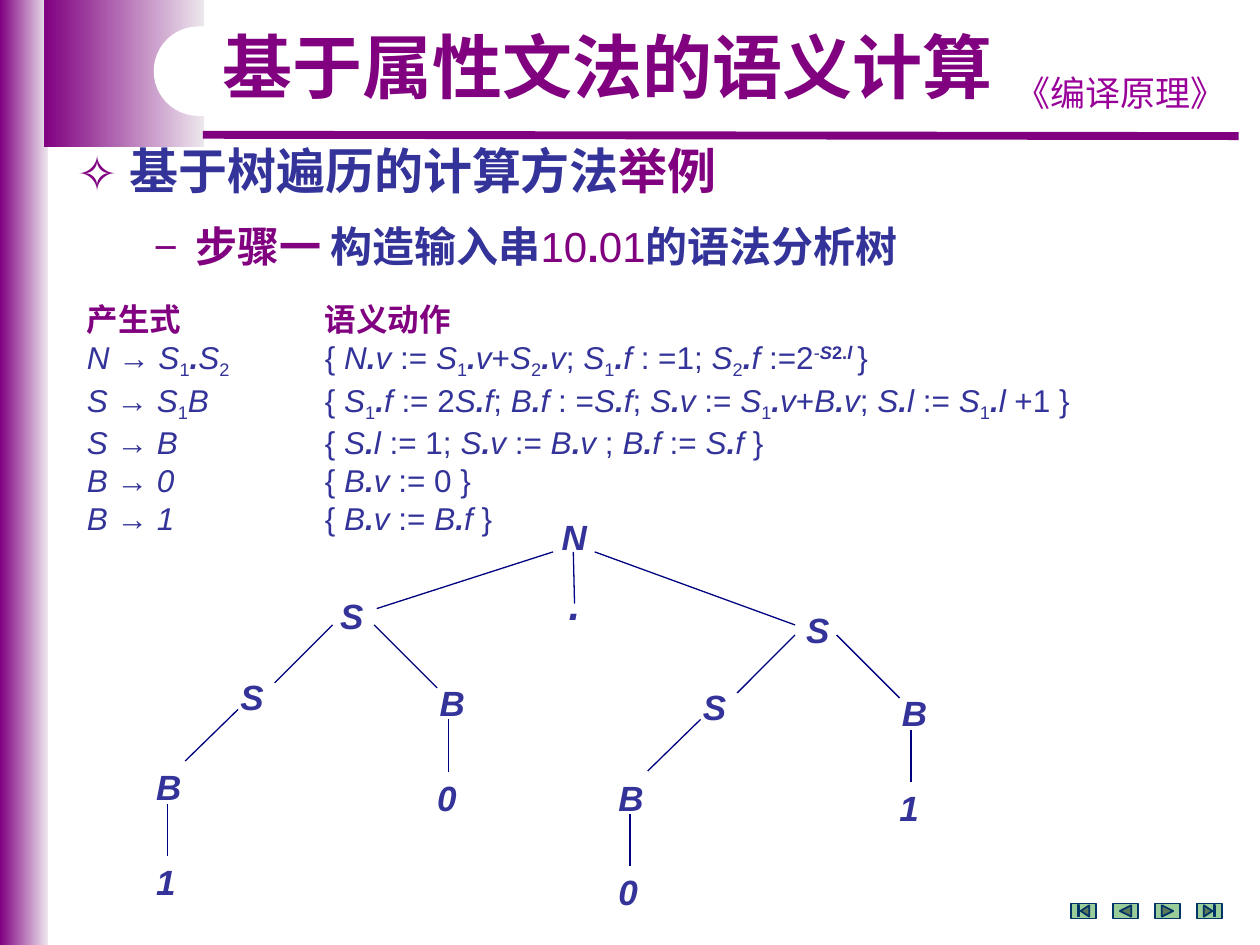
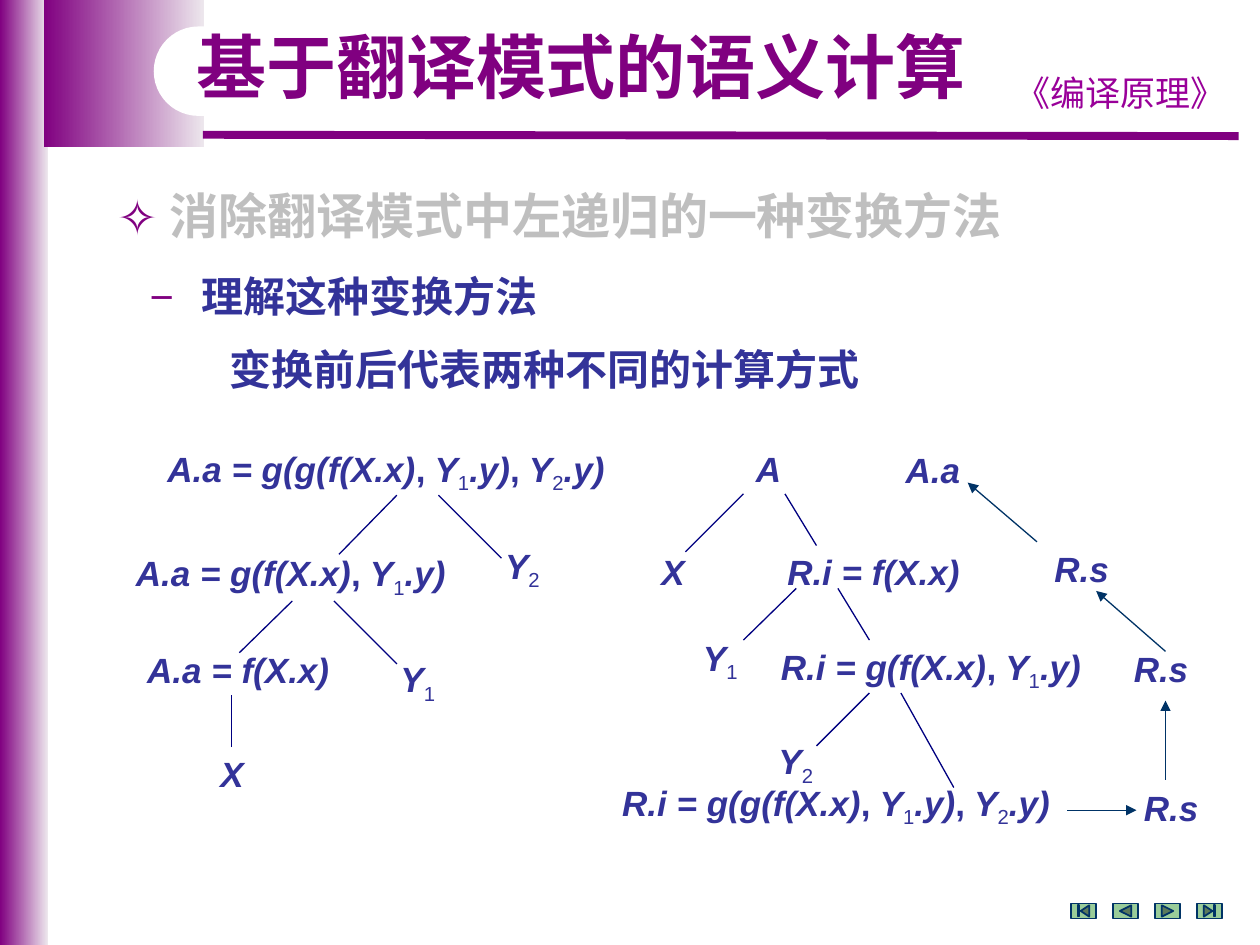
from itertools import groupby

from lxml import etree
from pptx import Presentation
from pptx import util as u
from pptx.dml import color as col
from pptx.enum import lang, shapes, text
from pptx.oxml import ns

Inches = u.Inches
PLUM, NAVY, GRAY, WHITE = "800080", "333399", "BFBFBF", "FFFFFF"
EDGE, TEAL = "000080", "003366"
LATIN, ROMAN, HAN = "Arial", "Times New Roman", "Noto Sans CJK SC"
KIND = shapes.MSO_SHAPE


def rgb(code):
    return col.RGBColor.from_string(code)


def sub(node, tag, **attrs):
    return etree.SubElement(node, ns.qn(tag), **attrs)


# ---- Text ----
def add_run(para, words, size, color=NAVY, font=LATIN, bold=True, ital=False, base=0):
    run = para.add_run()
    run.text = words
    face = run.font
    face.name, face.size, face.bold, face.italic = font, u.Pt(size), bold, ital
    face.color.rgb = rgb(color)
    face.language_id = lang.MSO_LANGUAGE_ID.SIMPLIFIED_CHINESE
    if base:
        run._r.get_or_add_rPr().set("baseline", str(base * 1000))


def add_box(slide, x, y, w, h):
    frame = slide.shapes.add_textbox(*map(Inches, (x, y, w, h))).text_frame
    frame.word_wrap = True
    return frame


def set_hang(para, left, hang=0, mark=None):
    props = para._p.get_or_add_pPr()
    props.set("marL", str(Inches(left)))
    props.set("indent", str(-Inches(hang)))
    if mark:
        sub(sub(props, "a:buClr"), "a:srgbClr", val=PLUM)
        sub(props, "a:buFont", typeface=HAN)
        sub(props, "a:buChar", char=mark)


def split_marks(code, style):
    """Yield (char, style); _ lowers one character, ^ turns raising on and off."""
    low = high = False
    for char in code:
        if char == "_":
            low = True
        elif char == "^":
            high = not high
        else:
            if low:
                yield char, (False, False, -25)
            elif high:
                yield char, (char != "-", char.isalpha(), 30)
            else:
                yield char, (*style(char), 0)
            low = False


def add_code(para, code, size, style):
    for (bold, ital, base), part in groupby(split_marks(code, style), lambda m: m[1]):
        add_run(para, "".join(char for char, _ in part), size,
                bold=bold, ital=ital, base=base)


def node_style(char):
    return True, char != ","


def rule_style(char):
    return char == ".", char.isalpha() or char == "."


def prod_style(char):
    return char == ".", char != "→"


def add_node(slide, code, x, y, w=0.42):
    add_code(add_box(slide, x, y, w, 0.43).paragraphs[0], code, 20, node_style)


def add_list(slide, head, lines, style, x, w):
    frame = add_box(slide, x, 2.33, w, 1.92)
    add_run(frame.paragraphs[0], head, 18, PLUM)
    for line in lines:
        add_code(frame.add_paragraph(), line, 18, style)


# ---- Shapes and lines ----
def add_line(slide, x1, y1, x2, y2, color=EDGE, width=0.75, arrow=False):
    line = slide.shapes.add_connector(
        shapes.MSO_CONNECTOR.STRAIGHT, *map(Inches, (x1, y1, x2, y2)))
    line.line.color.rgb = rgb(color)
    line.line.width = u.Pt(width)
    if arrow:
        sub(line.line._get_or_add_ln(), "a:tailEnd", type="triangle")
    sub(line._element.spPr, "a:effectLst")


def add_form(slide, kind, x, y, w, h, fill=None, edge=None):
    form = slide.shapes.add_shape(kind, *map(Inches, (x, y, w, h)))
    form.shadow.inherit = False
    if fill:
        form.fill.solid()
        form.fill.fore_color.rgb = rgb(fill)
    if edge:
        form.line.color.rgb = rgb(edge)
        form.line.width = u.Pt(1)
    else:
        form.line.fill.background()
    return form


def add_band(slide, x, w, h):
    fill = add_form(slide, KIND.RECTANGLE, x, 0, w, h).fill
    fill.gradient()
    fill.gradient_angle = 0
    for stop, place, code in zip(fill.gradient_stops, (0, 1), (PLUM, "EDE7ED")):
        stop.position = place
        stop.color.rgb = rgb(code)


# ---- Shared frame of every slide ----
def add_page(deck, title, x):
    slide = deck.slides.add_slide(deck.slide_layouts[6])
    add_band(slide, 0, 0.38, 7.5)
    add_band(slide, 0.35, 1.27, 1.17)
    add_line(slide, 1.61, 1.07, 9.83, 1.08, PLUM, 4.5)
    book = add_box(slide, 7.91, 0.52, 1.97, 0.43).paragraphs[0]
    book.alignment = text.PP_ALIGN.CENTER
    add_run(book, "《编译原理》", 20, "990099", "Comic Neue", bold=False)
    pill = add_form(slide, KIND.ROUNDED_RECTANGLE, 1.22, 0.21, 3.62, 0.71, WHITE)
    pill.adjustments[0] = 0.5
    keys = (KIND.ACTION_BUTTON_BEGINNING, KIND.ACTION_BUTTON_BACK_OR_PREVIOUS,
            KIND.ACTION_BUTTON_FORWARD_OR_NEXT, KIND.ACTION_BUTTON_END)
    for i, kind in enumerate(keys):
        add_form(slide, kind, 8.5 + i / 3, 7.17, 0.2, 0.12, "99CC99", TEAL)
    para = add_box(slide, x, 0.21, 6.42, 0.7).paragraphs[0]
    para.line_spacing = 0.9
    add_run(para, title, 40, PLUM)
    return slide


# ---- Slide 1: parse tree ----
def add_branch(slide, dx, dy, leaves):
    nodes = (("S", 1.81, 5.31), ("B", 3.39, 5.36), ("B", 1.14, 6.03),
             (leaves[0], 1.14, 6.78), (leaves[1], 3.37, 6.11))
    edges = ((3.47, 5.46, 2.97, 4.96), (2.18, 5.42, 2.64, 4.96),
             (1.47, 6.04, 1.89, 5.63), (3.56, 6.13, 3.56, 5.71),
             (1.33, 6.79, 1.33, 6.38))
    for code, x, y in nodes:
        add_node(slide, code, x + dx, y + dy)
    for x1, y1, x2, y2 in edges:
        add_line(slide, x1 + dx, y1 + dy, x2 + dx, y2 + dy)


def add_parse(deck):
    slide = add_page(deck, "基于属性文法的语义计算", 1.67)

    # Headings
    head = add_box(slide, 0.51, 1.07, 8.83, 0.57).paragraphs[0]
    set_hang(head, 0.42, 0.42, "✧")
    add_run(head, "基于", 28, font=HAN)
    add_run(head, "树遍历的计算方法", 28, font=ROMAN)
    add_run(head, "举例", 28, PLUM, HAN)
    step = add_box(slide, 1.13, 1.7, 7.88, 0.5).paragraphs[0]
    set_hang(step, 0.32, 0.32, "−")
    add_run(step, "步骤一 ", 24, PLUM, ROMAN)
    add_run(step, "构造输入串", 24, font=ROMAN)
    for part in ("10", ".", "01"):
        add_run(step, part, 24, PLUM, bold=part == ".")
    add_run(step, "的语法分析树", 24, font=ROMAN)

    # Grammar and its actions
    add_list(slide, "产生式",
             ("N → S_1.S_2", "S → S_1B", "S → B", "B → 0", "B → 1"),
             prod_style, 0.59, 1.89)
    add_list(slide, "语义动作", (
        "{ N.v := S_1.v+S_2.v; S_1.f : =1; S_2.f :=2^-S2.l ^}",
        "{ S_1.f := 2S.f; B.f : =S.f; S.v := S_1.v+B.v; S.l := S_1.l +1 }",
        "{ S.l := 1; S.v := B.v ; B.f := S.f }",
        "{ B.v := 0 }",
        "{ B.v := B.f }"), rule_style, 2.48, 6.77)

    # Tree: root, then two branches of the same form
    add_node(slide, "N", 4.36, 4.04, 0.45)
    dot = add_box(slide, 4.39, 4.54, 0.34, 0.5).paragraphs[0]
    dot.alignment = text.PP_ALIGN.CENTER
    add_run(dot, ".", 24, ital=True)
    add_node(slide, "S", 2.6, 4.67)
    add_node(slide, "S", 6.3, 4.78)
    for edge in ((2.99, 4.83, 4.39, 4.38), (4.56, 4.79, 4.55, 4.38),
                 (6.31, 4.96, 4.72, 4.38)):
        add_line(slide, *edge)
    add_branch(slide, 0, 0, "10")
    add_branch(slide, 3.67, 0.08, "01")


# ---- Slide 2: two ways to compute ----
def add_trans(deck):
    slide = add_page(deck, "基于翻译模式的语义计算", 1.46)

    # Headings
    frame = add_box(slide, 0.83, 1.42, 8.83, 1.77)
    head = frame.paragraphs[0]
    set_hang(head, 0.42, 0.42, "✧")
    add_run(head, "消除翻译模式中左递归的一种变换方法", 28, GRAY, HAN)
    aim = frame.add_paragraph()
    aim.space_before = u.Pt(15)
    set_hang(aim, 0.67, 0.4, "−")
    add_run(aim, "理解这种变换方法", 24)
    note = frame.add_paragraph()
    note.space_before = u.Pt(13)
    set_hang(note, 0.89)
    add_run(note, "变换前后代表两种不同的计算方式", 24)

    # Values before (left tree) and after (right tree)
    one = "g(f(X.x), Y_1.y)"
    two = "g(g(f(X.x), Y_1.y), Y_2.y)"
    nodes = (
        ("A.a = " + two, 1.23, 3.5, 3.67), ("A.a = " + one, 0.98, 4.33, 2.67),
        ("A.a = f(X.x)", 1.07, 5.1, 1.67), ("X", 1.65, 5.92, 0.42),
        ("Y_1", 3.08, 5.17, 0.49), ("Y_2", 3.91, 4.27, 0.49),
        ("A", 5.9, 3.5, 0.42), ("X", 5.15, 4.32, 0.5),
        ("R.i = f(X.x)", 6.15, 4.32, 1.67), ("R.i = " + one, 6.1, 5.07, 2.67),
        ("R.i = " + two, 4.84, 6.15, 3.67),
        ("Y_1", 5.48, 5, 0.49), ("Y_2", 6.08, 5.82, 0.49),
        ("R.s", 8.98, 6.19, 0.9), ("R.s", 8.9, 5.09, 0.9),
        ("R.s", 8.27, 4.3, 0.9), ("A.a", 7.09, 3.51, 0.9))
    for node in nodes:
        add_node(slide, *node)

    # Tree edges
    edges = (
        (3.98, 4.43, 3.48, 3.93), (2.69, 4.4, 3.15, 3.93),
        (1.9, 5.18, 2.32, 4.77), (3.15, 5.27, 2.65, 4.77),
        (1.84, 5.93, 1.84, 5.52),
        (6.48, 4.33, 6.23, 3.92), (5.44, 4.38, 5.9, 3.92),
        (5.9, 5.08, 6.32, 4.67), (6.9, 5.08, 6.65, 4.67),
        (7.57, 6.25, 7.15, 5.5), (6.48, 5.92, 6.9, 5.5))
    for edge in edges:
        add_line(slide, *edge)

    # Flow of the result back to the root
    for flow in ((8.47, 6.43, 9.02, 6.43), (9.25, 6.19, 9.25, 5.56),
                 (9.25, 5.17, 8.7, 4.69), (8.23, 4.3, 7.68, 3.83)):
        add_line(slide, *flow, color=TEAL, arrow=True)


def main():
    deck = Presentation()
    deck.slide_width, deck.slide_height = Inches(10), Inches(7.5)
    add_parse(deck)
    add_trans(deck)
    deck.save("out.pptx")


if __name__ == "__main__":
    main()
